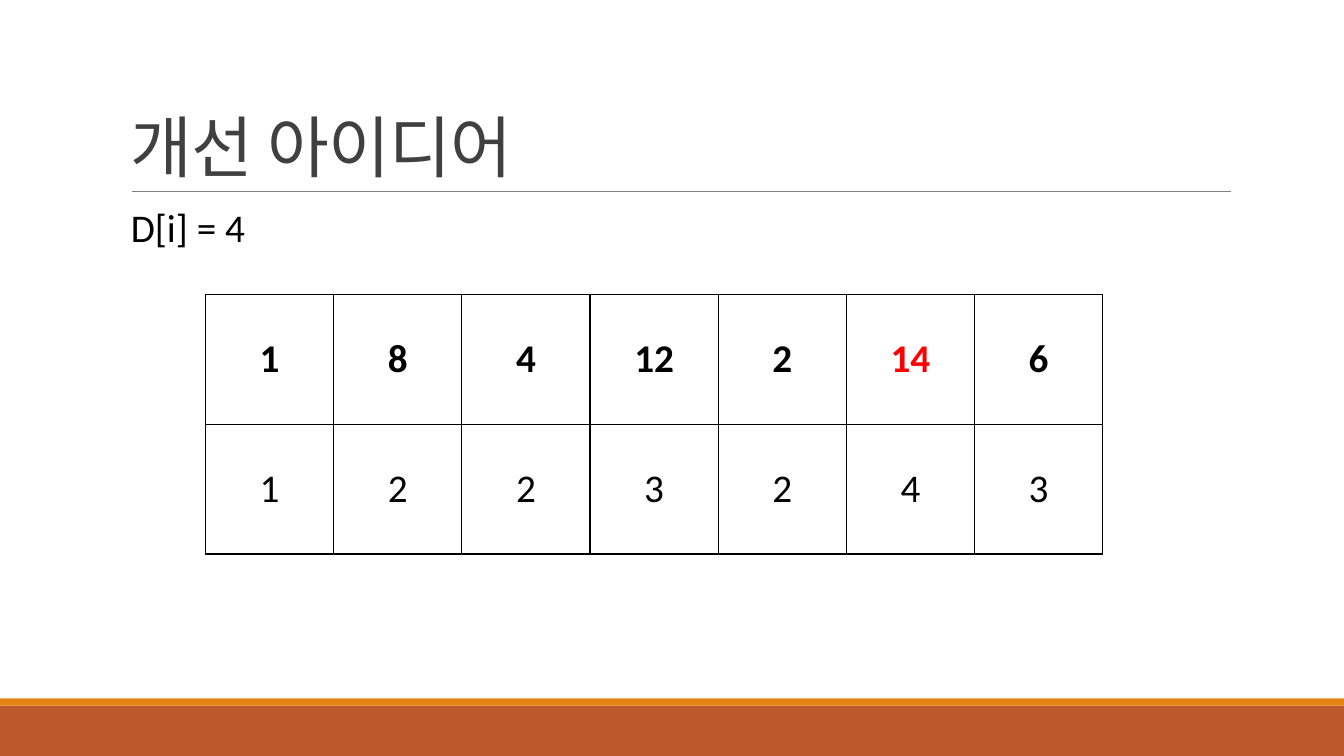
"""Build the slide that shows a sequence with its subsequence lengths."""
import pptx
import pptx.dml.color
import pptx.enum.shapes
import pptx.enum.text
import pptx.oxml
import pptx.oxml.ns
import pptx.util

Cm = pptx.util.Cm
Pt = pptx.util.Pt
RGB = pptx.dml.color.RGBColor.from_string
ALIGN = pptx.enum.text.PP_ALIGN
ANCHOR = pptx.enum.text.MSO_ANCHOR
COLORS = {
    "footer": "BD582C",
    "stripe": "E48312",
    "rule": "808080",
    "title": "404040",
    "ink": "000000",
    "accent": "FF0000",
}


def write(frame, text, size=28, color="ink", bold=False, align=ALIGN.LEFT,
          line_spacing=1.0, before=0, after=0, tracking=0):
    """Put one formatted paragraph into a text frame."""
    paragraph = frame.paragraphs[0]
    paragraph.alignment = align
    paragraph.line_spacing = line_spacing
    paragraph.space_before = Pt(before)
    paragraph.space_after = Pt(after)
    run = paragraph.add_run()
    run.text = text
    run.font.name = "Calibri"
    run.font.size = Pt(size)
    run.font.bold = bold
    run.font.color.rgb = RGB(COLORS[color])
    if tracking:
        run.font._element.set("spc", str(round(tracking * 100)))


deck = pptx.Presentation()
deck.slide_width = Cm(33.87)
deck.slide_height = Cm(19.05)
slide = deck.slides.add_slide(deck.slide_layouts[6])

for band_color, top, height in [("footer", 17.78, 1.27), ("stripe", 17.6, 0.18)]:
    band = slide.shapes.add_shape(pptx.enum.shapes.MSO_SHAPE.RECTANGLE,
                                  0, Cm(top), deck.slide_width, Cm(height))
    band.shadow.inherit = False
    band.fill.solid()
    band.fill.fore_color.rgb = RGB(COLORS[band_color])
    band.line.fill.background()

title_rule = slide.shapes.add_connector(pptx.enum.shapes.MSO_CONNECTOR.STRAIGHT,
                                        Cm(3.32), Cm(4.83), Cm(31.01), Cm(4.83))
title_rule.line.color.rgb = RGB(COLORS["rule"])
title_rule.line.width = Pt(0.5)
title_rule._element.spPr.append(pptx.oxml.parse_xml(
    f'<a:effectLst {pptx.oxml.ns.nsdecls("a")}/>'))

title = slide.shapes.add_textbox(Cm(3.05), Cm(0.8), Cm(27.94), Cm(4.03)).text_frame
title.word_wrap = True
title.vertical_anchor = ANCHOR.BOTTOM
write(title, "개선 아이디어", size=48, color="title", line_spacing=0.85, tracking=-0.5)

formula = slide.shapes.add_textbox(Cm(3.05), Cm(5.13), Cm(27.94), Cm(11.18)).text_frame
formula.word_wrap = True
formula.margin_left = Cm(0.25)
formula.margin_right = 0
write(formula, "D[i] = 4", line_spacing=0.9, before=12, after=2)

sequence = [1, 8, 4, 12, 2, 14, 6]
lengths = [1, 2, 2, 3, 2, 4, 3]
cell_width, cell_height = Cm(3.23), Cm(3.27)
grid = slide.shapes.add_table(2, len(sequence), Cm(5.18), Cm(7.42),
                              cell_width * len(sequence), cell_height * 2).table
for column in grid.columns:
    column.width = cell_width

for row_index, values in enumerate([sequence, lengths]):
    grid.rows[row_index].height = cell_height
    for column_index, value in enumerate(values):
        cell = grid.cell(row_index, column_index)
        cell.vertical_anchor = ANCHOR.MIDDLE
        write(cell.text_frame, str(value), bold=row_index == 0, align=ALIGN.CENTER,
              color="accent" if value == 14 else "ink")
        properties = cell._tc.get_or_add_tcPr()
        for side in ("lnL", "lnR", "lnT", "lnB"):
            properties.append(pptx.oxml.parse_xml(
                f'<a:{side} {pptx.oxml.ns.nsdecls("a")} w="{Pt(1)}"><a:solidFill>'
                f'<a:srgbClr val="{COLORS["ink"]}"/></a:solidFill></a:{side}>'))
        cell.fill.background()

deck.save("out.pptx")
